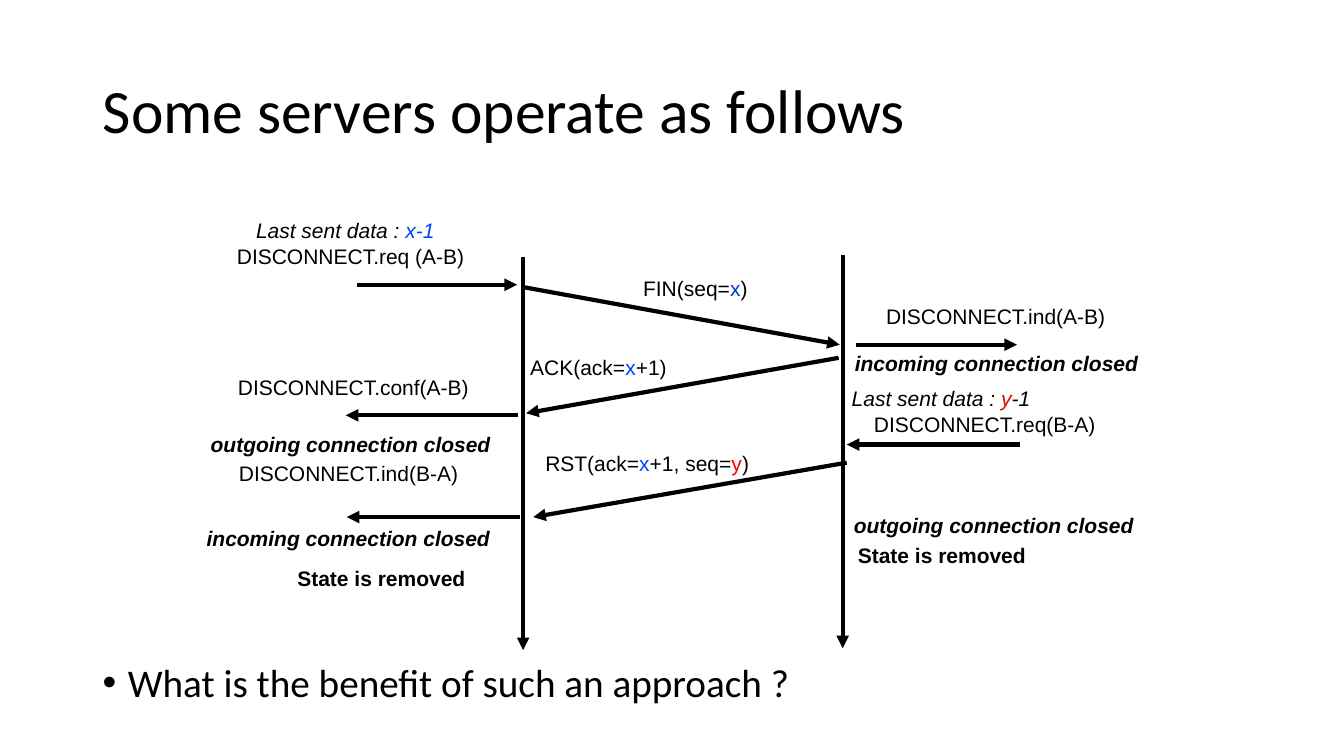
from dataclasses import dataclass

from lxml.etree import SubElement
from pptx import Presentation
from pptx.dml.color import RGBColor
from pptx.enum.shapes import MSO_CONNECTOR
from pptx.enum.text import MSO_ANCHOR, MSO_AUTO_SIZE, PP_ALIGN
from pptx.oxml.ns import qn
from pptx.util import Inches, Pt


@dataclass(frozen=True)
class Theme:
    black: str = "000000"
    white: str = "FFFFFF"
    navy: str = "003DCC"
    blue: str = "0044FE"
    brick: str = "D90B00"
    red: str = "FF0000"
    head: str = "Calibri"
    label: str = "Arial"
    title: int = 44
    body: int = 28
    small: int = 15
    stroke: int = 3


THEME = Theme()
CELL = 0.1  # inches per grid column and row
COLS, ROWS = 133.33, 75


def grid(*cells):
    return [Inches(round(n * CELL, 3)) for n in cells]


def write(frame, *parts, size, font, bold=False, italic=False, gap=0.9):
    """Fill the first paragraph; a part is text or a (text, colour) pair."""
    para = frame.paragraphs[0]
    para.alignment = PP_ALIGN.LEFT
    para.line_spacing = gap
    para.space_before = Pt(0)
    for part in parts:
        text, tint = (part, THEME.black) if isinstance(part, str) else part
        run = para.add_run()
        run.text = text
        run.font.size, run.font.name = Pt(size), font
        run.font.bold, run.font.italic = bold, italic
        run.font.color.rgb = RGBColor.from_string(tint)


class Board:
    def __init__(self, deck, theme):
        self.theme = theme
        self.slide = deck.slides.add_slide(deck.slide_layouts[5])
        self.shapes = self.slide.shapes

    def title(self, text, left, top, width, height):
        box = self.shapes.title
        box.left, box.top, box.width, box.height = grid(left, top, width, height)
        box.text_frame.vertical_anchor = MSO_ANCHOR.MIDDLE
        write(box.text_frame, text, size=self.theme.title, font=self.theme.head)

    def bullet(self, text, left, top, width, height):
        box = self.shapes.add_textbox(*grid(left, top, width, height))
        box.text_frame.word_wrap = True
        props = box.text_frame.paragraphs[0]._p.get_or_add_pPr()
        props.set("marL", str(Inches(0.25)))
        props.set("indent", str(-Inches(0.25)))
        SubElement(props, qn("a:buFont")).set("typeface", self.theme.label)
        SubElement(props, qn("a:buChar")).set("char", "•")
        write(box.text_frame, text, size=self.theme.body, font=self.theme.head)

    def label(self, left, top, width, *parts, height=2.2, gap=0.84, fill=None, **style):
        box = self.shapes.add_textbox(*grid(left, top, width, height))
        if fill:
            box.fill.solid()
            box.fill.fore_color.rgb = RGBColor.from_string(fill)
        frame = box.text_frame
        frame.margin_left = frame.margin_right = 0
        frame.margin_top = frame.margin_bottom = 0
        frame.word_wrap = False
        frame.auto_size = MSO_AUTO_SIZE.SHAPE_TO_FIT_TEXT
        frame.vertical_anchor = MSO_ANCHOR.MIDDLE
        write(frame, *parts, size=self.theme.small, font=self.theme.label,
              gap=gap, **style)

    def closed(self, left, top, way):
        width = 28.8 if way == "incoming" else 28.5
        self.label(left, top, width, f"{way} connection closed", height=2.5,
                   gap=0.97, bold=True, italic=True)

    def arrow(self, *ends):
        line = self.shapes.add_connector(MSO_CONNECTOR.STRAIGHT, *grid(*ends))
        line.line.width = Pt(self.theme.stroke)
        line.line.color.rgb = RGBColor.from_string(self.theme.black)
        props = line.element.spPr
        SubElement(props.find(qn("a:ln")), qn("a:tailEnd")).set("type", "triangle")
        SubElement(props, qn("a:effectLst"))


def main():
    deck = Presentation()
    deck.slide_width, deck.slide_height = grid(COLS, ROWS)
    board = Board(deck, THEME)
    blue, white = THEME.blue, THEME.white

    board.title("Some servers operate as follows", 9.2, 4, 115, 14.5)
    board.bullet("What is the benefit of such an approach ?", 9.2, 65.3, 115, 5.7)

    # Time lines of both hosts
    for left, top in ((51.9, 25.5), (83.6, 25.3)):
        board.arrow(left, top, left, top + 39)

    # Segments between the hosts
    board.label(63.8, 27.7, 10.5, "FIN(seq=", ("x", THEME.navy), ")")
    board.arrow(52, 28.5, 83.3, 34.2)
    board.arrow(83.2, 35.5, 52.2, 41)
    board.label(52.6, 35.5, 13.7, "ACK(ack=", ("x", blue), "+1)", fill=white)
    board.label(54.1, 45, 20.4, "RST(ack=", ("x", blue), "+1, seq=",
                ("y", THEME.red), ")", fill=white)
    board.arrow(84, 45.9, 52.9, 51.3)

    # Calls between each host and its user
    for start, end, row in ((35.4, 51.3, 28.25), (84.9, 100.9, 34.2),
                            (51.4, 34.3, 41.2), (101.2, 84, 44.1),
                            (51.6, 34.4, 51.3)):
        board.arrow(start, row, end, row)
    for left, top, width, call in ((23.5, 24.5, 22.8, "req (A-B)"),
                                   (87.9, 30.5, 22, "ind(A-B)"),
                                   (23.6, 37.5, 23.1, "conf(A-B)"),
                                   (86.7, 41.2, 22.2, "req(B-A)"),
                                   (23.7, 46, 22, "ind(B-A)")):
        board.label(left, top, width, f"DISCONNECT.{call}")

    # State of each host
    last = "Last sent data : "
    board.label(25.4, 21.9, 18.3, last, ("x-1", blue), italic=True)
    board.label(84.5, 38.6, 18.3, last, ("y", THEME.brick), "-1", italic=True)
    for left, top, way in ((20.9, 42.9, "outgoing"), (84.8, 34.9, "incoming"),
                           (20.5, 52.2, "incoming"), (84.7, 50.9, "outgoing")):
        board.closed(left, top, way)
    for left, top in ((29.5, 56.5), (85.1, 54.2)):
        board.label(left, top, 16.8, "State is removed", bold=True)

    deck.save("out.pptx")


if __name__ == "__main__":
    main()
